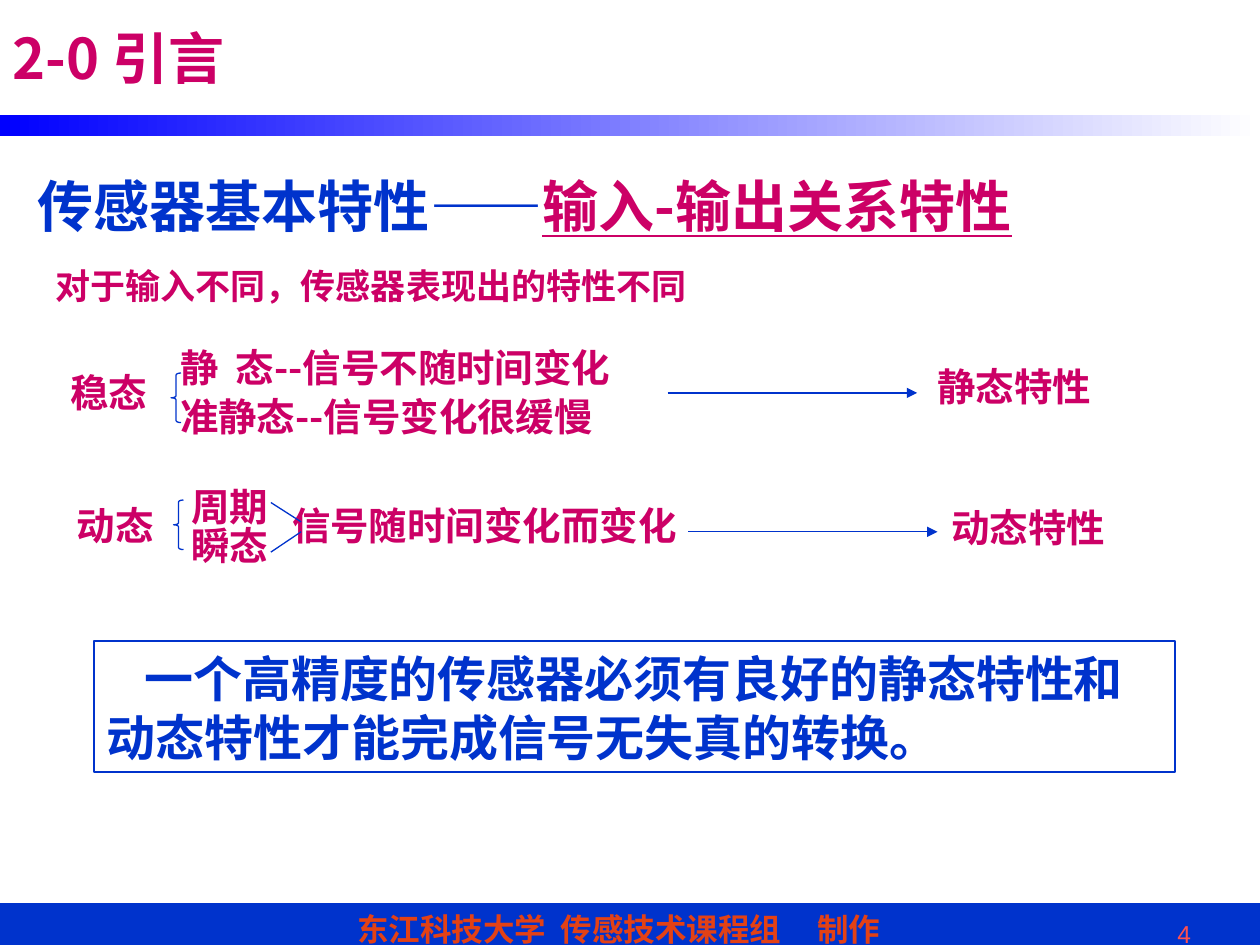
from lxml import etree
from pptx import Presentation
from pptx.dml.color import RGBColor
from pptx.enum import lang, shapes, text
from pptx.oxml import ns
from pptx.util import Cm, Pt

BLUE = RGBColor(0x00, 0x33, 0xCC)
BRIGHT_BLUE = RGBColor(0x00, 0x00, 0xFF)
MAGENTA = RGBColor(0xCC, 0x00, 0x66)
ORANGE = RGBColor(0xE3, 0x41, 0x15)
CORAL = RGBColor(0xFF, 0x50, 0x50)
WHITE = RGBColor(0xFF, 0xFF, 0xFF)
CJK = "Noto Sans CJK SC"


def write(frame, pieces, size, bold=True, inset=(0.25, 0.13)):
    frame.margin_left = frame.margin_right = Cm(inset[0])
    frame.margin_top = frame.margin_bottom = Cm(inset[1])
    paragraph = frame.paragraphs[0]
    for words, color, face in pieces:
        run = paragraph.add_run()
        run.text = words
        run.font.size = Pt(size)
        run.font.bold = bold
        run.font.color.rgb = color
        run.font.name = face
        run.font.language_id = lang.MSO_LANGUAGE_ID.SIMPLIFIED_CHINESE
        east_asian = etree.SubElement(run._r.get_or_add_rPr(), ns.qn("a:ea"))
        east_asian.set("typeface", CJK)
    return paragraph


def draw_line(x1, y1, x2, y2, arrow=False):
    line = slide.shapes.add_connector(
        shapes.MSO_CONNECTOR.STRAIGHT, Cm(x1), Cm(y1), Cm(x2), Cm(y2))
    line.line.color.rgb = BLUE
    line.line.width = Pt(0.75)
    if arrow:
        tail = etree.SubElement(line.line._get_or_add_ln(), ns.qn("a:tailEnd"))
        tail.set("type", "triangle")
    etree.SubElement(line._element.spPr, ns.qn("a:effectLst"))


deck = Presentation()
deck.slide_width, deck.slide_height = Cm(25.4), Cm(19.05)
slide = deck.slides.add_slide(deck.slide_layouts[6])

footer = slide.shapes.add_shape(
    shapes.MSO_SHAPE.RECTANGLE, 0, Cm(18.21), Cm(25.4), Cm(1.02))
footer.shadow.inherit = False
footer.fill.solid()
footer.fill.fore_color.rgb = BLUE
footer.line.color.rgb = BLUE
footer.line.width = Pt(0.75)
credit = write(footer.text_frame,
               [("东江科技大学\t传感技术课程组\t制作", ORANGE, "Arial")], 18)
credit.alignment = text.PP_ALIGN.LEFT
footer.text_frame.margin_left = Cm(7.2)
footer.text_frame.vertical_anchor = text.MSO_ANCHOR.MIDDLE
tab_stops = etree.SubElement(credit._p.get_or_add_pPr(), ns.qn("a:tabLst"))
for stop in (4.1, 9.28):
    etree.SubElement(tab_stops, ns.qn("a:tab"), pos=str(Cm(stop)), algn="l")

divider = slide.shapes.add_shape(
    shapes.MSO_SHAPE.RECTANGLE, 0, Cm(2.31), Cm(25.4), Cm(0.43))
divider.shadow.inherit = False
divider.line.fill.background()
divider.fill.gradient()
divider.fill.gradient_angle = 0
for stop, color in zip(divider.fill.gradient_stops, (BRIGHT_BLUE, WHITE)):
    stop.color.rgb = color

page = slide.shapes.add_textbox(Cm(17.91), Cm(18.39), Cm(6.35), Cm(0.66))
number = write(page.text_frame, [("4", CORAL, "Arial")], 14, bold=False)
number.alignment = text.PP_ALIGN.RIGHT

title = slide.shapes.add_textbox(0, 0, Cm(23.72), Cm(2.31))
title.text_frame.word_wrap = True
title.text_frame.vertical_anchor = text.MSO_ANCHOR.MIDDLE
write(title.text_frame, [("2-0 引言", MAGENTA, CJK)], 32)

heading = slide.shapes.add_textbox(Cm(0.51), Cm(3.33), Cm(22.61), Cm(2.36))
heading.text_frame.word_wrap = True
definition = write(heading.text_frame, [
    ("传感器基本特性", BLUE, CJK),
    ("——", BLUE, "Arial"),
    ("输入-输出关系特性", MAGENTA, CJK),
], 32)
definition.runs[-1].font.underline = True

conclusion = slide.shapes.add_shape(
    shapes.MSO_SHAPE.RECTANGLE, Cm(1.9), Cm(12.93), Cm(21.79), Cm(2.64))
conclusion.shadow.inherit = False
conclusion.fill.background()
conclusion.line.color.rgb = BLUE
conclusion.line.width = Pt(1)
conclusion.text_frame.word_wrap = True
conclusion.text_frame.vertical_anchor = text.MSO_ANCHOR.TOP
summary = write(conclusion.text_frame, [
    ("一个高精度的传感器必须有良好的静态特性和动态特性才能完成信号无失真的转换。", BLUE, CJK),
], 28)
summary.alignment = text.PP_ALIGN.LEFT
summary.line_spacing = Pt(34)
summary._p.get_or_add_pPr().set("indent", str(Cm(0.76)))

for words, x, y, width, size in [
    ("对于输入不同，传感器表现出的特性不同", 1.12, 5.33, 12.73, 20),
    ("稳态", 1.42, 7.44, 1.55, 22),
    ("静  态--信号不随时间变化", 3.63, 6.93, 9.83, 22),
    ("准静态--信号变化很缓慢", 3.63, 7.92, 9.04, 22),
    ("静态特性", 18.9, 7.32, 3.1, 22),
    ("动态", 1.55, 10.13, 1.55, 22),
    ("周期", 3.86, 9.73, 1.55, 22),
    ("瞬态", 3.86, 10.52, 1.55, 22),
    ("信号随时间变化而变化", 5.89, 10.13, 7.75, 22),
    ("动态特性", 19.18, 10.16, 3.1, 22),
]:
    label = slide.shapes.add_textbox(Cm(x), Cm(y), Cm(width), Cm(0.94))
    label.text_frame.word_wrap = False
    write(label.text_frame, [(words, MAGENTA, CJK)], size, inset=(0, 0))

for x, y in [(3.45, 7.52), (3.5, 10.08)]:
    brace = slide.shapes.add_shape(
        shapes.MSO_SHAPE.LEFT_BRACE, Cm(x), Cm(y), Cm(0.2), Cm(1))
    brace.adjustments[0] = 0.2
    brace.shadow.inherit = False
    brace.fill.background()
    brace.line.color.rgb = BLUE
    brace.line.width = Pt(0.75)

draw_line(13.46, 7.92, 18.49, 7.92, arrow=True)
draw_line(13.87, 10.72, 18.9, 10.72, arrow=True)
draw_line(5.46, 10.13, 6.07, 10.52)
draw_line(5.46, 11.13, 6.07, 10.72)

deck.save("out.pptx")
